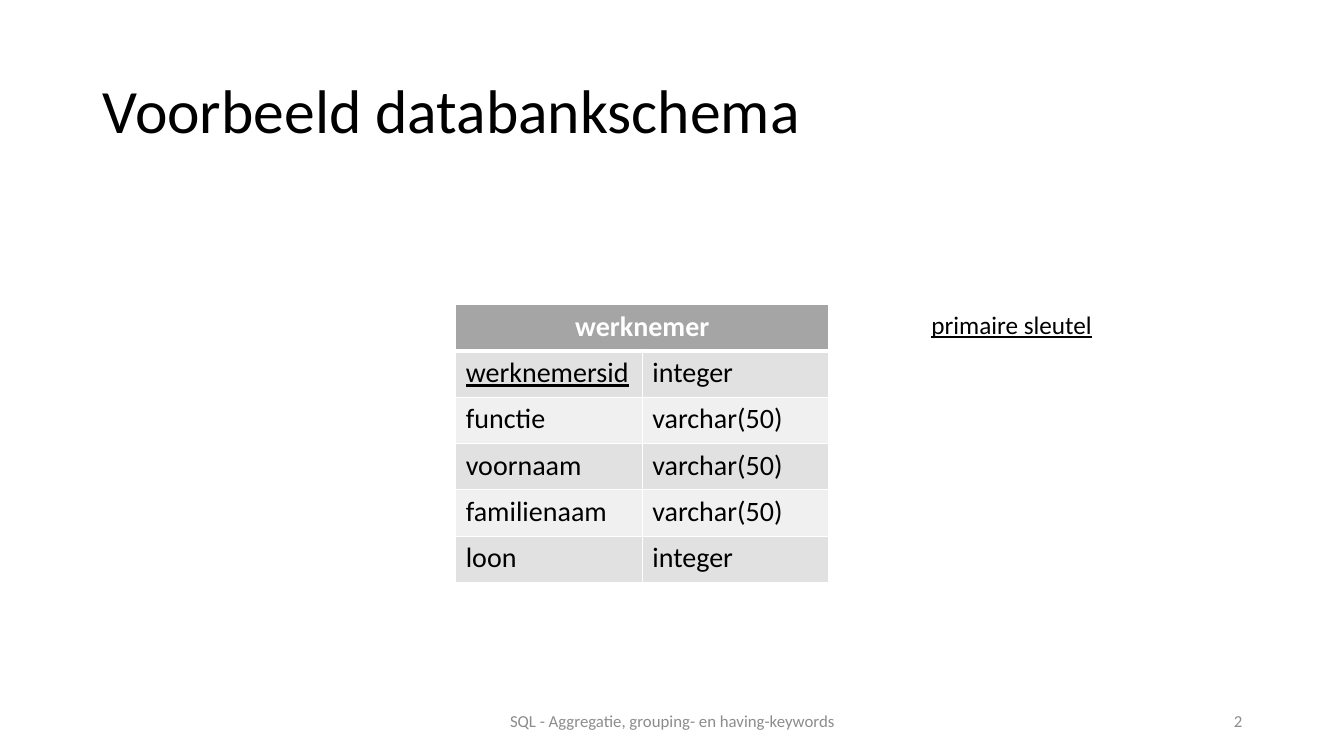
from lxml.etree import SubElement as Sub
from pptx import Presentation
from pptx.dml.color import RGBColor
from pptx.enum.text import MSO_ANCHOR as Anchor, PP_ALIGN as Align
from pptx.oxml.ns import qn
from pptx.util import Inches, Pt

FIELDS = [
    ("werknemersid", "integer"),
    ("functie", "varchar(50)"),
    ("voornaam", "varchar(50)"),
    ("familienaam", "varchar(50)"),
    ("loon", "integer"),
]


def color(code):
    """Turn a hex string into a colour."""
    return RGBColor.from_string(code)


def write(frame, text, size, code="000000", align=Align.LEFT, bold=False, line=False):
    """Put one styled paragraph in a text frame."""
    frame.text = text
    para = frame.paragraphs[0]
    para.alignment = align
    font = para.runs[0].font
    font.name = "Calibri"
    font.size = Pt(size)
    font.bold = bold
    font.underline = line
    font.color.rgb = color(code)
    return para


def add_text(slide, box, text, size, anchor=Anchor.MIDDLE, **style):
    """Add a wrapped text box and return its paragraph."""
    frame = slide.shapes.add_textbox(*map(Inches, box)).text_frame
    frame.word_wrap = True
    frame.vertical_anchor = anchor
    return write(frame, text, size, **style)


def set_edges(cell, top=1, bottom=1):
    """Draw white borders around a cell, widths in points."""
    props = cell._tc.get_or_add_tcPr()
    for side, width in (("L", 1), ("R", 1), ("T", top), ("B", bottom)):
        edge = Sub(props, qn(f"a:ln{side}"), w=str(Pt(width)))
        fill = Sub(edge, qn("a:solidFill"))
        Sub(fill, qn("a:srgbClr"), val="FFFFFF")


def fill_cell(cell, text, back, top=1, bottom=1, **style):
    """Write a table cell with its borders and fill."""
    write(cell.text_frame, text, 20, **style)
    set_edges(cell, top, bottom)
    cell.fill.solid()
    cell.fill.fore_color.rgb = color(back)


def add_schema(slide):
    """Add the table with the columns of werknemer."""
    box = map(Inches, (4.52, 3.02, 3.7, 2.76))
    table = slide.shapes.add_table(len(FIELDS) + 1, 2, *box).table
    for col in table.columns:
        col.width = Inches(1.85)
    for row in table.rows:
        row.height = Inches(0.46)
    head = table.cell(0, 0)
    head.merge(table.cell(0, 1))
    fill_cell(head, "werknemer", "A5A5A5", bottom=3,
              code="FFFFFF", align=Align.CENTER, bold=True)
    set_edges(table.cell(0, 1), bottom=3)
    for row, field in enumerate(FIELDS, 1):
        back = "E1E1E1" if row % 2 else "F0F0F0"
        for col, text in enumerate(field):
            fill_cell(table.cell(row, col), text, back,
                      top=3 if row == 1 else 1, line=(row, col) == (1, 0))


def main():
    """Build the slide and save it."""
    deck = Presentation()
    deck.slide_width = Inches(13.33)
    deck.slide_height = Inches(7.5)
    slide = deck.slides.add_slide(deck.slide_layouts[6])
    title = add_text(slide, (0.92, 0.4, 11.5, 1.45), "Voorbeeld databankschema", 44)
    title.line_spacing = 0.9
    add_schema(slide)
    add_text(slide, (9.14, 3.02, 2.12, 0.4), "primaire sleutel", 18,
             anchor=Anchor.TOP, line=True)
    add_text(slide, (9.42, 6.95, 3, 0.4), "2", 12, code="8C8C8C", align=Align.RIGHT)
    add_text(slide, (4.42, 6.95, 4.5, 0.4),
             "SQL - Aggregatie, grouping- en having-keywords", 12,
             code="8C8C8C", align=Align.CENTER)
    deck.save("out.pptx")


if __name__ == "__main__":
    main()
